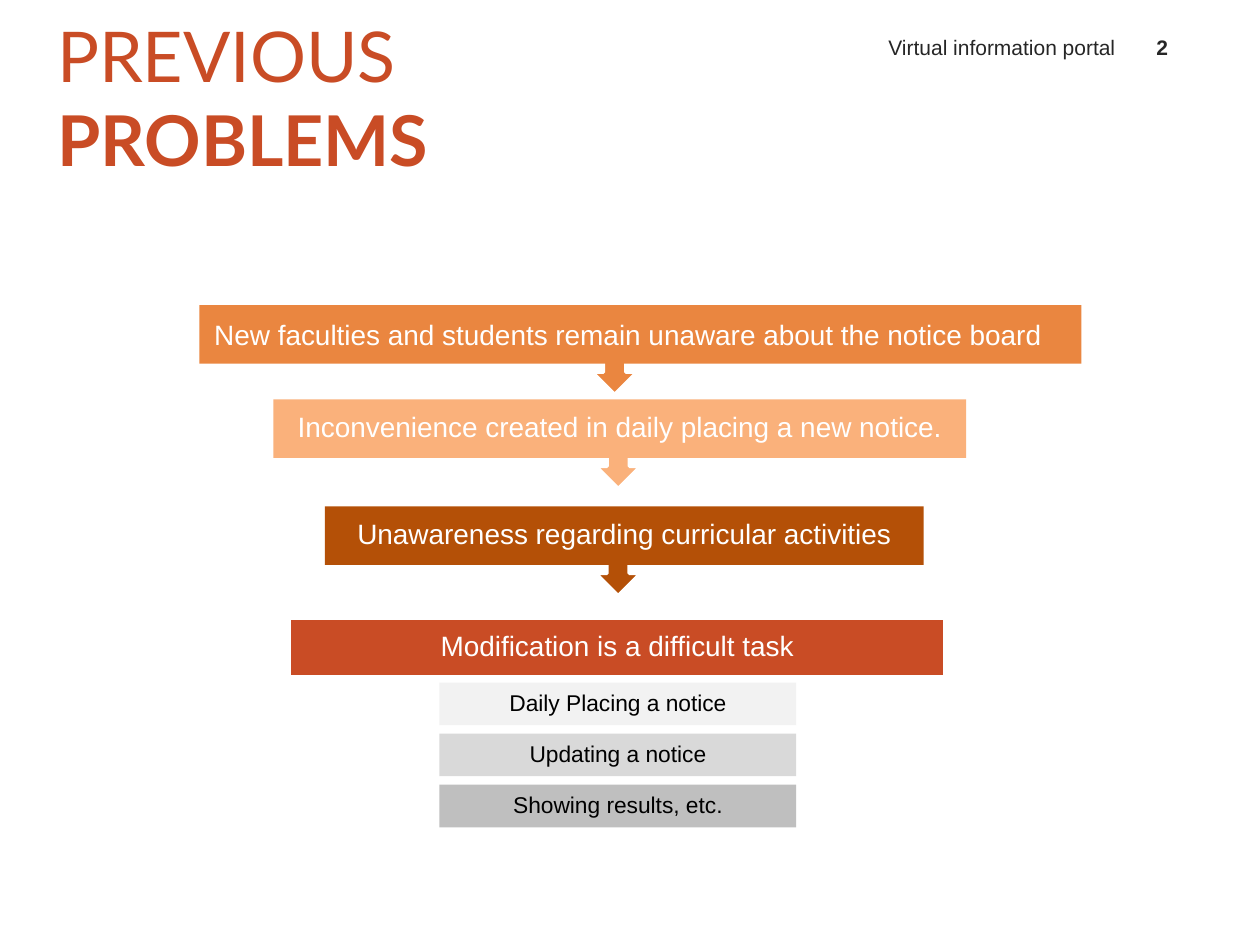
"""Build the slide on previous problems of the notice board."""
import pptx
import pptx.dml.color
import pptx.enum.shapes
import pptx.enum.text
import pptx.util

Cm = pptx.util.Cm
Pt = pptx.util.Pt
SHAPE = pptx.enum.shapes.MSO_SHAPE
ALIGN = pptx.enum.text.PP_ALIGN
ANCHOR = pptx.enum.text.MSO_ANCHOR

ACCENT, WHITE, BLACK, DARK = "C94C25", "FFFFFF", "000000", "262626"
BAR_HEIGHT, CALLOUT_HEIGHT = 1.18, 1.8


def rgb(color):
    """Turn a hex string into a colour."""
    return pptx.dml.color.RGBColor.from_string(color)


def write(frame, text, *, size, color, font="Arial", bold=False,
          align=ALIGN.CENTER, anchor=ANCHOR.MIDDLE, spacing=None):
    """Append a formatted run to the first paragraph of a text frame."""
    frame.word_wrap = True
    frame.vertical_anchor = anchor
    paragraph = frame.paragraphs[0]
    paragraph.alignment = align
    paragraph.line_spacing = spacing
    run = paragraph.add_run()
    run.text = text
    run.font.name = font
    run.font.size = Pt(size)
    run.font.bold = bold
    run.font.color.rgb = rgb(color)


def add_block(slide, kind, left, top, width, height, fill, outline=None):
    """Add a filled shape, with a white outline if wanted."""
    block = slide.shapes.add_shape(kind, Cm(left), Cm(top), Cm(width), Cm(height))
    block.shadow.inherit = False
    block.fill.solid()
    block.fill.fore_color.rgb = rgb(fill)
    if outline:
        block.line.color.rgb = rgb(WHITE)
        block.line.width = Pt(outline)
    else:
        block.line.fill.background()
    return block


def add_bar(slide, text, left, top, width, height, fill, inset=0.3,
            outline=None, **text_format):
    """Add a rectangle that carries one line of text."""
    bar = add_block(slide, SHAPE.RECTANGLE, left, top, width, height, fill, outline)
    frame = bar.text_frame
    frame.margin_left = frame.margin_right = Cm(inset)
    frame.margin_top = frame.margin_bottom = Cm(inset)
    write(frame, text, **text_format)


def add_problem(slide, text, fill, top, bar_span, callout_span, **text_format):
    """Add a problem bar over a callout that points down to the next one."""
    callout_left, callout_width = callout_span
    callout = add_block(slide, SHAPE.UP_ARROW_CALLOUT, callout_left, top,
                        callout_width, CALLOUT_HEIGHT, fill, outline=2)
    callout.rotation = 180
    bar_left, bar_width = bar_span
    add_bar(slide, text, bar_left, top, bar_width, BAR_HEIGHT, fill,
            size=16, color=WHITE, **text_format)


def add_header(slide, text, left, width, **text_format):
    """Add a small text in the header line."""
    header = slide.shapes.add_textbox(Cm(left), Cm(0.48), Cm(width), Cm(0.84))
    write(header.text_frame, text, size=12, color=DARK,
          anchor=ANCHOR.BOTTOM, **text_format)


def add_title(slide, light, strong):
    """Fill the title placeholder with a light and a bold word."""
    title = slide.shapes.title
    title.left, title.top = Cm(0.64), Cm(0.84)
    title.width, title.height = Cm(14.81), Cm(2.21)
    frame = title.text_frame
    frame.auto_size = pptx.enum.text.MSO_AUTO_SIZE.NONE
    frame.margin_left, frame.margin_right = Cm(0.51), 0
    for text, bold in ((light, False), (strong, True)):
        write(frame, text, size=40, color=ACCENT, font="Lato", bold=bold,
              align=ALIGN.LEFT)


def main():
    """Build and save the slide."""
    deck = pptx.Presentation()
    deck.slide_width, deck.slide_height = Cm(25.4), Cm(19.05)
    slide = deck.slides.add_slide(deck.slide_layouts[5])

    add_title(slide, "PREVIOUS", " PROBLEMS")
    add_header(slide, "Virtual information portal", 15.88, 6.86, align=ALIGN.RIGHT)
    add_header(slide, "2", 22.73, 1.4, bold=True)

    add_bar(slide, "Modification is a difficult task", 5.84, 12.47, 13.21, 1.18,
            ACCENT, outline=2, size=16, color=WHITE, spacing=0.9)
    tasks = (("Daily Placing a notice", "F2F2F2"),
             ("Updating a notice", "D9D9D9"),
             ("Showing results, etc.", "BFBFBF"))
    for row, (task, fill) in enumerate(tasks):
        add_bar(slide, task, 8.86, 13.76 + 1.03 * row, 7.19, 0.86, fill,
                inset=0.25, size=13, color=BLACK, spacing=0.9)

    add_problem(slide, "Unawareness regarding curricular activities", "B45007",
                10.21, (6.55, 12.07), (8.33, 8.26), spacing=0.9)
    add_problem(slide, "New faculties and students remain unaware about the notice board",
                "EA8640", 6.15, (4.02, 17.78), (8.26, 8.26), align=ALIGN.LEFT)
    add_problem(slide, "Inconvenience created in daily placing a new notice.", "FAB17B",
                8.05, (5.51, 13.97), (6.99, 10.95), spacing=0.9)

    deck.save("out.pptx")


if __name__ == "__main__":
    main()
